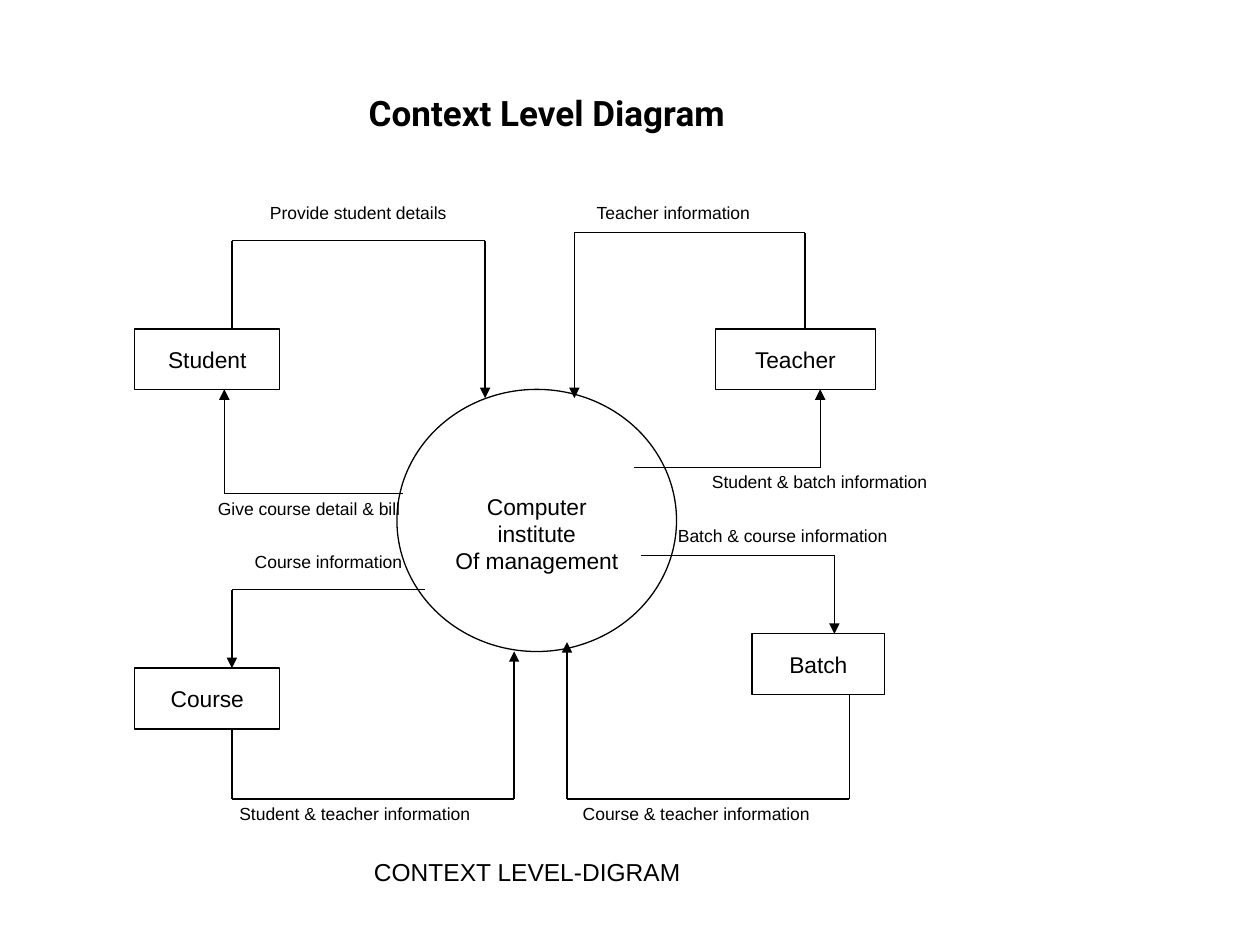
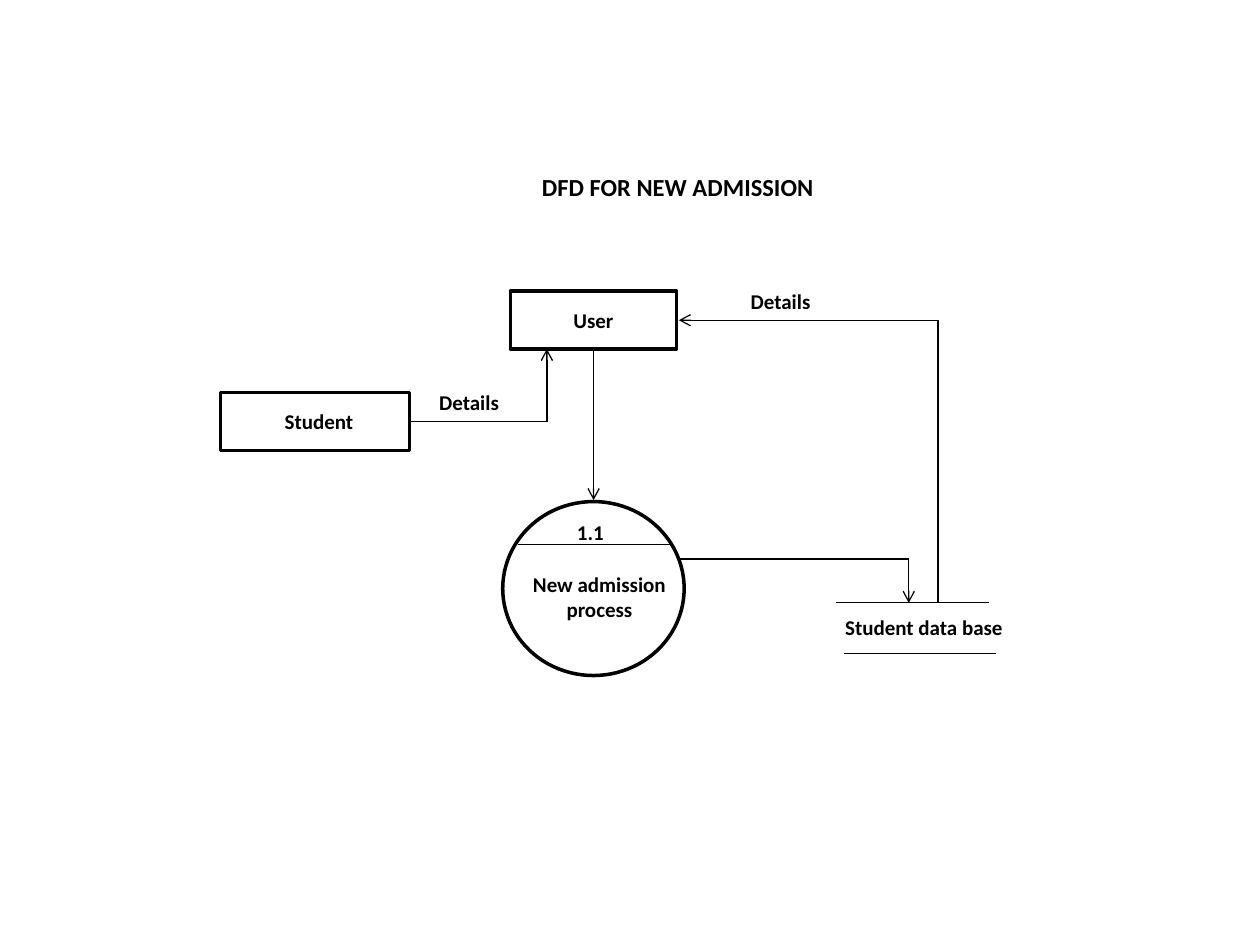
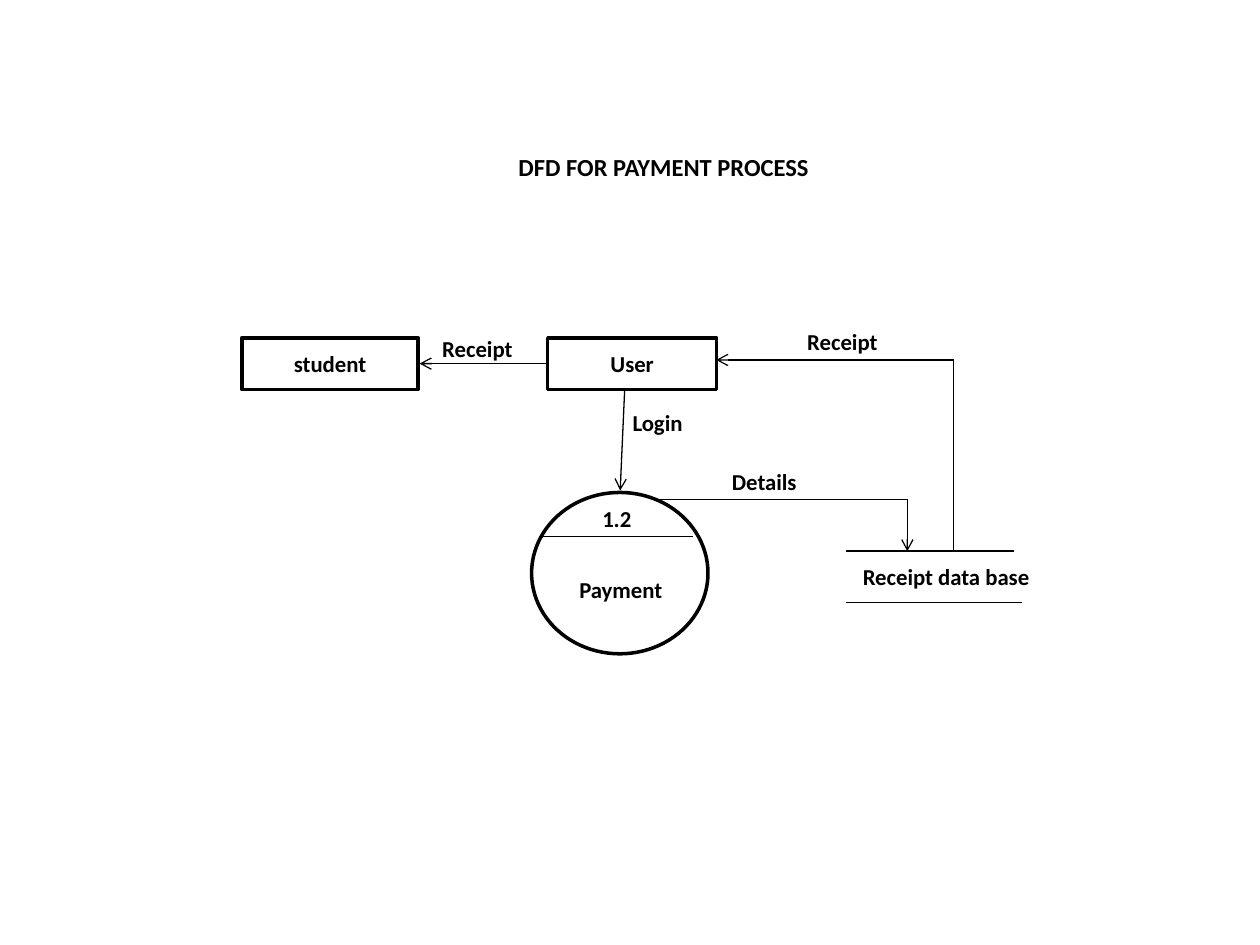
import dataclasses
import itertools

import lxml.etree
import pptx
import pptx.dml.color
import pptx.enum.shapes
import pptx.enum.text
import pptx.oxml.ns
import pptx.util

Pt = pptx.util.Pt
SHAPES = pptx.enum.shapes.MSO_SHAPE
ALIGN = pptx.enum.text.PP_ALIGN
ANCHOR = pptx.enum.text.MSO_ANCHOR
qn = pptx.oxml.ns.qn


@dataclasses.dataclass(frozen=True)
class TextStyle:
    font: str
    size: float
    bold: bool = False


@dataclasses.dataclass(frozen=True)
class Theme:
    ink: str = "000000"
    paper: str = "FFFFFF"
    thin: float = 0.75
    thick: float = 2
    side_inset: float = 5
    top_inset: float = 2.5
    heading: TextStyle = TextStyle("Roboto", 20, True)
    dfd_heading: TextStyle = TextStyle("Calibri", 14, True)
    entity: TextStyle = TextStyle("Arial", 13)
    flow_label: TextStyle = TextStyle("Arial", 10)
    caption: TextStyle = TextStyle("Arial", 14)
    admission: TextStyle = TextStyle("Calibri", 12, True)
    payment: TextStyle = TextStyle("Calibri", 13, True)


class Diagram:
    """Draws diagram parts on the current slide; all lengths are in points."""

    def __init__(self, theme):
        self.theme = theme
        self.deck = pptx.Presentation()
        self.deck.slide_width, self.deck.slide_height = Pt(720), Pt(540)
        self.slide = None

    def color(self, value):
        return pptx.dml.color.RGBColor.from_string(value)

    def set_text(self, frame, text, style, align, anchor, extra_left=0, extra_top=0):
        """Fill a text frame, one paragraph for each line of text."""
        frame.auto_size = pptx.enum.text.MSO_AUTO_SIZE.NONE
        frame.word_wrap = True
        frame.vertical_anchor = anchor
        frame.margin_left = Pt(self.theme.side_inset + extra_left)
        frame.margin_right = Pt(self.theme.side_inset)
        frame.margin_top = Pt(self.theme.top_inset + extra_top)
        frame.margin_bottom = Pt(self.theme.top_inset)
        for index, line in enumerate(text.split("\n")):
            paragraph = frame.add_paragraph() if index else frame.paragraphs[0]
            paragraph.alignment = align
            run = paragraph.add_run()
            run.text = line
            run.font.name = style.font
            run.font.size = Pt(style.size)
            run.font.bold = style.bold
            run.font.color.rgb = self.color(self.theme.ink)

    def start(self, text, style, left, top, width):
        """Add a slide with its title."""
        self.slide = self.deck.slides.add_slide(self.deck.slide_layouts[5])
        title = self.slide.shapes.title
        title.left, title.top, title.width = Pt(left), Pt(top), Pt(width)
        title.height = Pt(style.size * 1.2 + 5)
        self.set_text(title.text_frame, text, style, ALIGN.LEFT, ANCHOR.TOP)

    def node(self, kind, bounds, weight, text="", style=None, **extra):
        """Add an outlined rectangle or ellipse with centred text."""
        shape = self.slide.shapes.add_shape(kind, *map(Pt, bounds))
        shape.shadow.inherit = False
        shape.fill.solid()
        shape.fill.fore_color.rgb = self.color(self.theme.paper)
        shape.line.color.rgb = self.color(self.theme.ink)
        shape.line.width = Pt(weight)
        if text:
            self.set_text(shape.text_frame, text, style, ALIGN.CENTER, ANCHOR.MIDDLE, **extra)

    def flow(self, points, head=None):
        """Join points with straight lines, the last one ending in the head."""
        for begin, end in itertools.pairwise(points):
            line = self.slide.shapes.add_connector(
                pptx.enum.shapes.MSO_CONNECTOR.STRAIGHT, *map(Pt, begin + end))
            line.line.color.rgb = self.color(self.theme.ink)
            line.line.width = Pt(self.theme.thin)
            properties = line.element.spPr
            lxml.etree.SubElement(properties, qn("a:effectLst"))
        if head:
            lxml.etree.SubElement(properties.find(qn("a:ln")), qn("a:tailEnd"), type=head)

    def label(self, text, style, left, top, width, align=ALIGN.LEFT):
        height = (text.count("\n") + 1) * style.size * 1.2 + 5
        box = self.slide.shapes.add_textbox(Pt(left), Pt(top), Pt(width), Pt(height))
        self.set_text(box.text_frame, text, style, align, ANCHOR.TOP)

    def process(self, bounds, divider):
        """Add a process circle with the line below its number."""
        self.node(SHAPES.OVAL, bounds, self.theme.thick)
        left, right, y = divider
        self.flow([(left, y), (right, y)])

    def store(self, *rules):
        """Add the open-ended lines of a data store."""
        for left, right, y in rules:
            self.flow([(left, y), (right, y)])


def context_level(diagram):
    theme = diagram.theme
    diagram.start("Context Level Diagram", theme.heading, 205.7, 49.5, 240)
    diagram.node(SHAPES.OVAL, (226.8, 222.5, 159.8, 149.8), theme.thin,
                 "Computer institute\nOf management", theme.entity, extra_top=15)
    for name, left, top, width in (
        ("Student", 77, 188, 82.8),
        ("Batch", 429.8, 362.2, 75.6),
        ("Teacher", 408.8, 188, 91.4),
        ("Course", 77, 381.8, 82.8),
    ):
        diagram.node(SHAPES.RECTANGLE, (left, top, width, 34.8), theme.thin, name, theme.entity)

    for points in (
        [(132.5, 188), (132.5, 137.5), (277.2, 137.5), (277.2, 227.5)],
        [(230.4, 282.2), (128.2, 282.2), (128.2, 222.5)],
        [(242.6, 337), (132.5, 337), (132.5, 381.8)],
        [(132.5, 416.8), (132.5, 456.5), (293.8, 456.5), (293.8, 372.2)],
        [(460, 188), (460, 133), (328.2, 133), (328.2, 227.5)],
        [(362.2, 267.2), (468.7, 267.2), (468.7, 222.5)],
        [(366.5, 317.3), (476.8, 317.3), (476.8, 362.2)],
        [(485.3, 396.8), (485.3, 456.5), (324, 456.5), (324, 367)],
    ):
        diagram.flow(points, "triangle")

    for text, left, top, width in (
        ("Provide student details", 149.3, 113, 119),
        ("Give course detail & bill", 119.5, 282.2, 118),
        ("Teacher information", 336, 113, 124),
        ("Student & batch information", 401.8, 266.4, 154),
        ("Course information", 140.6, 312.5, 124),
        ("Student & teacher information", 131.8, 456.5, 183),
        ("Batch & course information", 382.4, 297.4, 137),
        ("Course & teacher information", 328, 456.5, 204),
    ):
        diagram.label(text, theme.flow_label, left, top, width)
    diagram.label("CONTEXT LEVEL-DIGRAM", theme.caption, 208.7, 487, 256)


def new_admission(diagram):
    theme = diagram.theme
    style = theme.admission
    diagram.start("DFD FOR NEW ADMISSION", theme.dfd_heading, 304.6, 95.8, 175)
    diagram.node(SHAPES.RECTANGLE, (291.6, 166.3, 95, 33.1), theme.thick, "User", style)
    diagram.node(SHAPES.RECTANGLE, (126, 224.4, 108, 33.1), theme.thick,
                 "Student", style, extra_left=4.6)
    diagram.process((287.3, 286.6, 103.7, 99.4), (296, 383, 311.2))
    diagram.store((478, 565.2, 344.2), (482.4, 569, 373.4))
    for points in (
        [(387, 319.5), (519.3, 319.5), (519.3, 344.5)],
        [(536, 344.2), (536, 183), (388, 183)],
        [(234.7, 241), (312.5, 241), (312.5, 199.4)],
        [(339.2, 200.5), (339.2, 285.8)],
    ):
        diagram.flow(points, "arrow")
    for text, left, top, width in (
        ("Details", 424, 162.2, 78.5),
        ("1.1", 324.7, 294.6, 57.6),
        ("Details", 246, 220.2, 78.5),
        ("Student data base", 478, 348.6, 116),
    ):
        diagram.label(text, style, left, top, width)
    diagram.label("New admission\nprocess", style, 296.6, 324, 92, ALIGN.CENTER)


def payment_process(diagram):
    theme = diagram.theme
    style = theme.payment
    diagram.start("DFD FOR PAYMENT PROCESS", theme.dfd_heading, 291.2, 84.2, 217)
    for name, left, width in (("User", 313, 96.5), ("student", 138.2, 100.8)):
        diagram.node(SHAPES.RECTANGLE, (left, 193, width, 29.5), theme.thick, name, style)
    diagram.process((303.8, 281.4, 100.8, 92.2), (309, 396, 306.7))
    diagram.store((483.6, 579.6, 314.9), (483.6, 584, 344.2))
    for points in (
        [(312, 207.8), (239.8, 207.8)],
        [(374.4, 285.4), (518.5, 285.4), (518.5, 315)],
        [(544.9, 315), (544.9, 205.7), (409.3, 205.7)],
        [(357, 221.8), (354.4, 280.3)],
    ):
        diagram.flow(points, "arrow")
    for text, left, top, width in (
        ("Receipt data base", 488, 319, 118),
        ("Details", 413.3, 265, 88),
        ("1.2", 339.2, 286, 44),
        ("Login", 356.5, 231.2, 52),
        ("Payment", 326, 326.6, 65),
        ("Receipt", 247.7, 189, 65.5),
        ("Receipt", 456.3, 184.8, 56),
    ):
        diagram.label(text, style, left, top, width)


def main():
    diagram = Diagram(Theme())
    for draw in (context_level, new_admission, payment_process):
        draw(diagram)
    diagram.deck.save("out.pptx")


if __name__ == "__main__":
    main()
